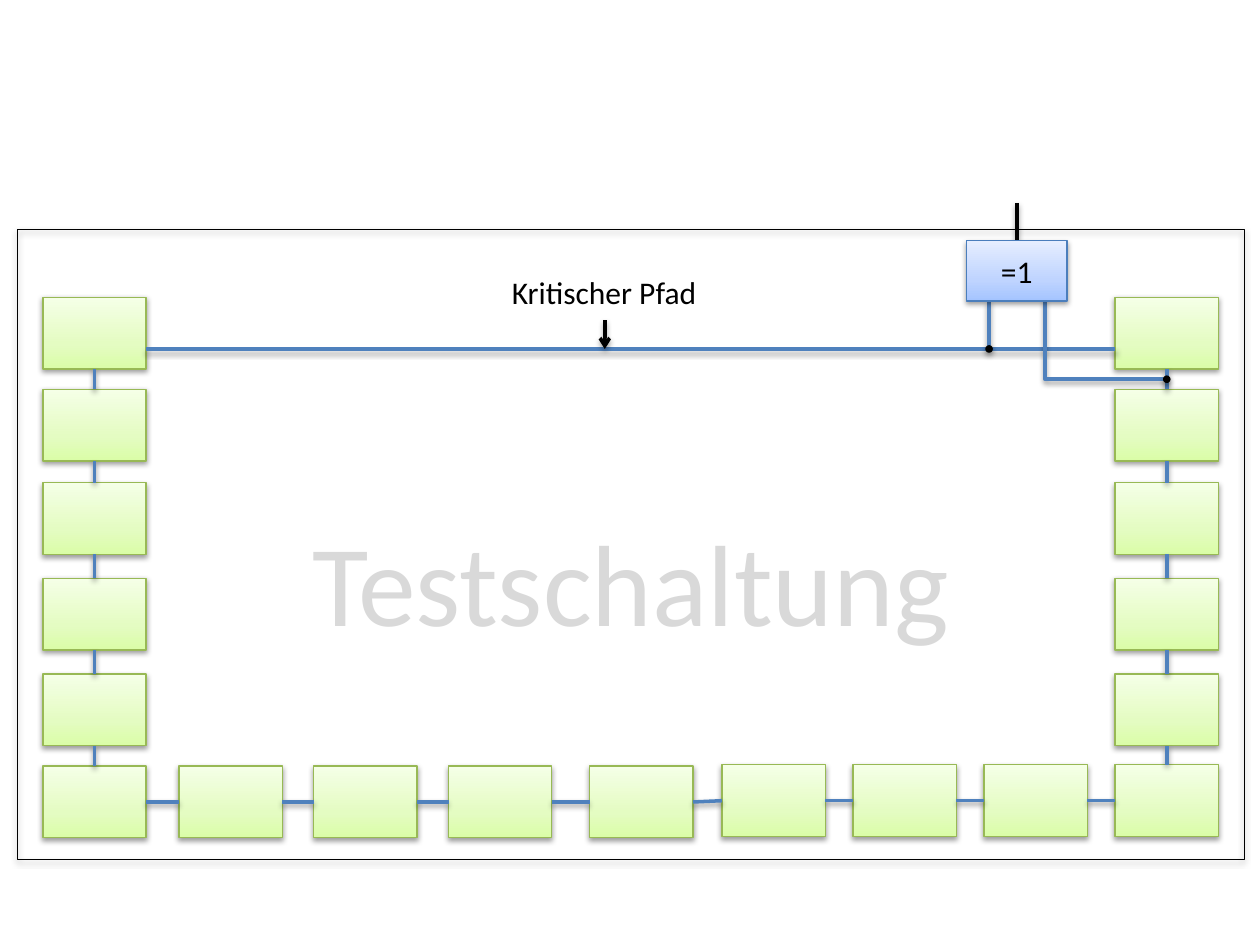
from copy import deepcopy
from dataclasses import dataclass
from typing import NamedTuple

from lxml import etree
from pptx import Presentation
from pptx.dml.color import RGBColor
from pptx.enum import shapes, text
from pptx.oxml.ns import qn
from pptx.util import Inches, Pt


class Box(NamedTuple):
    """Left, top, width and height in inches."""
    left: float
    top: float
    width: float
    height: float

    def lengths(self) -> list:
        return [Inches(value) for value in self]


class Point(NamedTuple):
    """A position in inches."""
    x: float
    y: float


class Shadow(NamedTuple):
    """Downward shadow: opacity in percent, distance in EMU."""
    opacity: int
    distance: int


@dataclass(frozen=True)
class Theme:
    """Colours, type sizes and line widths."""
    font: str = "Calibri"
    label_size: int = 18
    title_size: int = 66
    black: str = "000000"
    title: str = "D9D9D9"
    wire: str = "4F81BD"
    cell_fill: tuple = ("DAFDA7", "E4FCC2", "F5FFE7")
    cell_edge: str = "98B955"
    gate_fill: tuple = ("A4C4FF", "BFD4FF", "E6EEFF")
    gate_edge: str = "4B7EBC"
    edge_width: float = 0.75
    wire_width: float = 2
    soft: Shadow = Shadow(38, 20000)
    deep: Shadow = Shadow(35, 23000)


THEME = Theme()
CELL_WIDTH, CELL_HEIGHT = 0.82, 0.57
COLUMNS = (0.34, 1.42, 2.49, 3.56, 4.68, 5.73, 6.77, 7.81, 8.85)
SIDE_ROWS = (2.36, 3.09, 3.83, 4.59, 5.35)
BOTTOM_ROWS = (6.08,) * 5 + (6.07,) * 4
TOP, LEFT, BOTTOM, RIGHT = range(4)
SPLIT_X, PATH_Y = 7.85, 2.77
CHAIN_X, TAP_Y = 9.26, 3.01
GATE = Box(7.67, 1.91, 0.8, 0.48)
GATE_BOTTOM = GATE.top + GATE.height


def add_shadow(part, shadow: Shadow) -> None:
    """Give a shape or connector a soft shadow below it."""
    properties = part._element.spPr
    effects = properties.find(qn("a:effectLst"))
    if effects is None:
        effects = etree.SubElement(properties, qn("a:effectLst"))
    outer = etree.SubElement(
        effects, qn("a:outerShdw"), blurRad="40000",
        dist=str(shadow.distance), dir="5400000", rotWithShape="0")
    color = etree.SubElement(outer, qn("a:srgbClr"), val=THEME.black)
    etree.SubElement(color, qn("a:alpha"), val=str(shadow.opacity * 1000))


def fill_gradient(fill, properties, colors: tuple) -> None:
    """Fill with three colours from bottom to top."""
    fill.gradient()
    fill.gradient_angle = 90
    stops = properties.find(".//" + qn("a:gsLst"))
    stops.append(deepcopy(stops[0]))
    for stop, color, position in zip(fill.gradient_stops, colors, (0, 0.35, 1)):
        stop.color.rgb = RGBColor.from_string(color)
        stop.position = position


def add_block(slide, box: Box, edge: str, fill: str | tuple | None = None,
              kind=shapes.MSO_SHAPE.RECTANGLE, shadow: Shadow = THEME.soft):
    """Draw an outlined shape with a plain, gradient or empty fill."""
    block = slide.shapes.add_shape(kind, *box.lengths())
    if fill is None:
        block.fill.background()
    elif isinstance(fill, tuple):
        fill_gradient(block.fill, block._element.spPr, fill)
    else:
        block.fill.solid()
        block.fill.fore_color.rgb = RGBColor.from_string(fill)
    block.line.color.rgb = RGBColor.from_string(edge)
    block.line.width = Pt(THEME.edge_width)
    block.shadow.inherit = False
    add_shadow(block, shadow)
    return block


def add_wire(slide, start: Point, end: Point, color: str = THEME.wire,
             kind=shapes.MSO_CONNECTOR.STRAIGHT, arrow: bool = False):
    """Draw a connector, with an arrowhead at its end if asked."""
    wire = slide.shapes.add_connector(
        kind, *(Inches(value) for value in (*start, *end)))
    wire.line.color.rgb = RGBColor.from_string(color)
    wire.line.width = Pt(THEME.wire_width)
    if arrow:
        etree.SubElement(wire.line._get_or_add_ln(), qn("a:tailEnd"), type="arrow")
    add_shadow(wire, THEME.soft)
    return wire


def write(frame, words: str, *, size: int = THEME.label_size,
          color: str = THEME.black, anchor=text.MSO_ANCHOR.TOP,
          grow: bool = False) -> None:
    """Write one centred paragraph into a text frame."""
    frame.word_wrap = True
    frame.vertical_anchor = anchor
    if grow:
        frame.auto_size = text.MSO_AUTO_SIZE.SHAPE_TO_FIT_TEXT
    paragraph = frame.paragraphs[0]
    paragraph.alignment = text.PP_ALIGN.CENTER
    run = paragraph.add_run()
    run.text = words
    run.font.name = THEME.font
    run.font.size = Pt(size)
    run.font.color.rgb = RGBColor.from_string(color)


def add_label(slide, box: Box, words: str, **style) -> None:
    """Place text in a box of its own."""
    label = slide.shapes.add_textbox(*box.lengths())
    write(label.text_frame, words, grow=True, **style)


def add_chain(slide) -> None:
    """Draw the cells down, across and up again, and link neighbours."""
    corners = [Point(COLUMNS[0], y) for y in SIDE_ROWS]
    corners += [Point(x, y) for x, y in zip(COLUMNS, BOTTOM_ROWS)]
    corners += [Point(COLUMNS[-1], y) for y in reversed(SIDE_ROWS)]
    cells = [add_block(slide, Box(*corner, CELL_WIDTH, CELL_HEIGHT),
                       THEME.cell_edge, THEME.cell_fill) for corner in corners]
    down, across = len(SIDE_ROWS), len(COLUMNS) - 1
    sites = ([(BOTTOM, TOP)] * down + [(RIGHT, LEFT)] * across
             + [(TOP, BOTTOM)] * down)
    for cell, following, (leave, enter) in zip(cells, cells[1:], sites):
        link = add_wire(slide, Point(0, 0), Point(0, 0))
        link.begin_connect(cell, leave)
        link.end_connect(following, enter)


def add_gate(slide) -> None:
    """Draw the comparison gate with its two inputs and junction dots."""
    add_wire(slide, Point(SPLIT_X, GATE_BOTTOM), Point(SPLIT_X, PATH_Y))
    tap = add_wire(slide, Point(8.28, GATE_BOTTOM), Point(CHAIN_X, TAP_Y),
                   kind=shapes.MSO_CONNECTOR.ELBOW)
    bends = tap._element.spPr.find(".//" + qn("a:avLst"))
    etree.SubElement(bends, qn("a:gd"), name="adj1", fmla="val 1300")
    gate = add_block(slide, GATE, THEME.gate_edge, THEME.gate_fill)
    write(gate.text_frame, "=1", anchor=text.MSO_ANCHOR.MIDDLE)
    dot = 0.05
    for junction in (Point(SPLIT_X, PATH_Y), Point(CHAIN_X, TAP_Y)):
        add_block(slide, Box(junction.x - dot / 2, junction.y - dot / 2, dot, dot),
                  THEME.black, THEME.black, shapes.MSO_SHAPE.OVAL, THEME.deep)


def main() -> None:
    """Build the circuit slide and save it."""
    deck = Presentation()
    deck.slide_width, deck.slide_height = Inches(10), Inches(7.5)
    slide = deck.slides.add_slide(deck.slide_layouts[6])
    add_block(slide, Box(0.14, 1.82, 9.74, 5), THEME.black, shadow=THEME.deep)
    add_wire(slide, Point(8.07, 1.61), Point(8.07, GATE.top), THEME.black)
    add_chain(slide)
    add_wire(slide, Point(COLUMNS[0] + CELL_WIDTH, PATH_Y), Point(COLUMNS[-1], PATH_Y))
    add_label(slide, Box(1.16, 4.01, 7.69, 1.21), "Testschaltung",
              size=THEME.title_size, color=THEME.title)
    add_gate(slide)
    add_label(slide, Box(3.43, 2.12, 2.73, 0.42), "Kritischer Pfad")
    add_wire(slide, Point(4.8, 2.54), Point(4.8, PATH_Y), THEME.black, arrow=True)
    deck.save("out.pptx")


main()
